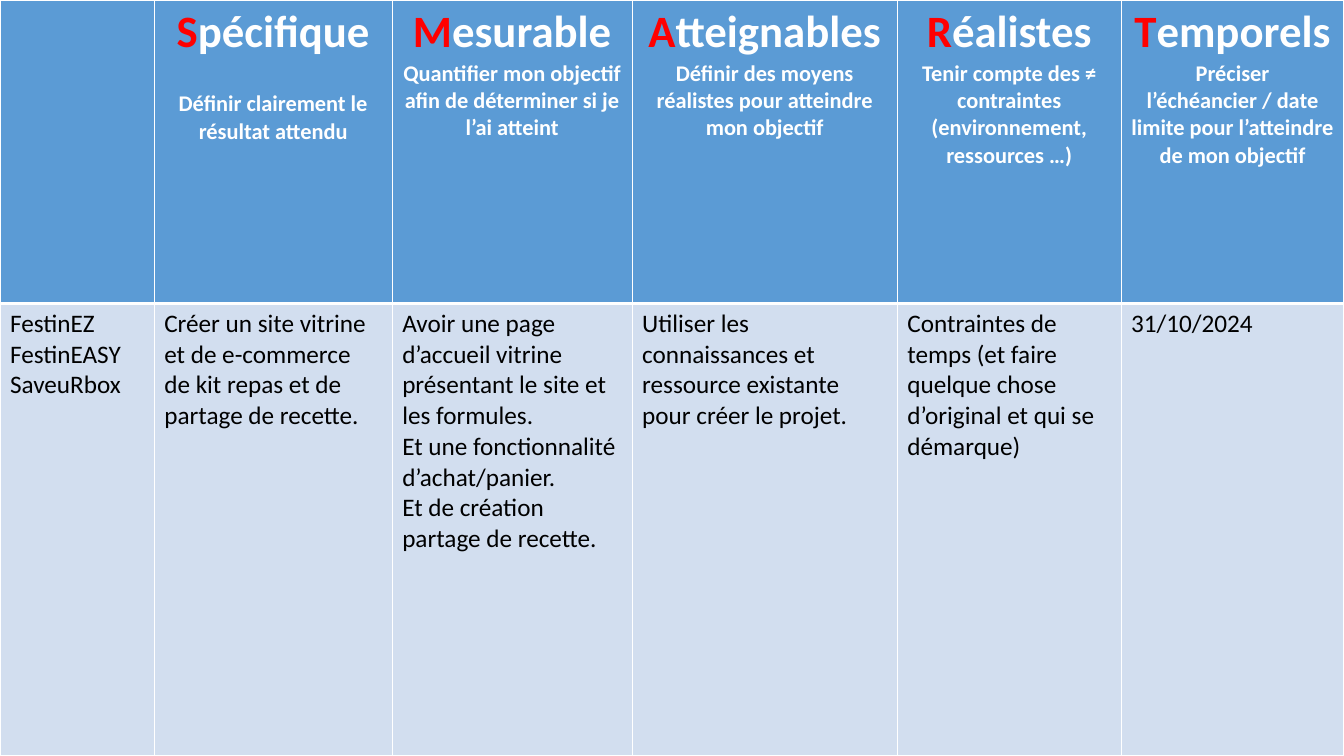
import pptx
import pptx.dml.color
import pptx.enum.text
import pptx.oxml
import pptx.oxml.ns
import pptx.util

Inches, Pt = pptx.util.Inches, pptx.util.Pt
RGBColor = pptx.dml.color.RGBColor
CENTER = pptx.enum.text.PP_ALIGN.CENTER

BLUE = RGBColor(0x5B, 0x9B, 0xD5)
PALE_BLUE = RGBColor(0xD2, 0xDE, 0xEF)
RED = RGBColor(0xFF, 0x00, 0x00)
WHITE = RGBColor(0xFF, 0xFF, 0xFF)
BLACK = RGBColor(0x00, 0x00, 0x00)
FONT = "Calibri"

# Column width, criterion, explanation, gap above the explanation in points, goals
COLUMNS = [
    (1.53, "", "", 0, ["FestinEZ", "FestinEASY", "SaveuRbox"]),
    (2.36, "Spécifique", "Définir clairement le résultat attendu", 22,
     ["Créer un site vitrine et de e-commerce de kit repas et de partage de recette."]),
    (2.38, "Mesurable", "Quantifier mon objectif afin de déterminer si je l’ai atteint", 0,
     ["Avoir une page d’accueil vitrine présentant le site et les formules.",
      "Et une fonctionnalité d’achat/panier.",
      "Et de création partage de recette."]),
    (2.63, "Atteignables", "Définir des moyens réalistes pour atteindre mon objectif", 0,
     ["Utiliser les connaissances et ressource existante pour créer le projet."]),
    (2.22, "Réalistes",
     "Tenir compte des ≠ contraintes (environnement, ressources …)", 0,
     ["Contraintes de temps (et faire quelque chose d’original et qui se démarque)"]),
    (2.21, "Temporels",
     "Préciser l’échéancier / date limite pour l’atteindre de mon objectif", 0,
     ["31/10/2024"]),
]
ROW_HEIGHTS = [3.01, 4.49]


def add_span(para, text, size, color, bold=False):
    span = para.add_run()
    span.text = text
    span.font.name = FONT
    span.font.size = Pt(size)
    span.font.bold = bold
    span.font.color.rgb = color


def style_cell(cell, fill, bottom_width):
    """Fill the cell and give it white borders, the bottom one of its own width."""
    cell.fill.solid()
    cell.fill.fore_color.rgb = fill
    properties = cell._tc.get_or_add_tcPr()
    for position, side in enumerate("LRTB"):
        width = Pt(bottom_width if side == "B" else 1)
        border = pptx.oxml.parse_xml(
            f'<a:ln{side} {pptx.oxml.ns.nsdecls("a")} w="{width}">'
            f'<a:solidFill><a:srgbClr val="{WHITE}"/></a:solidFill></a:ln{side}>')
        properties.insert(position, border)


def write_header(cell, criterion, explanation, gap):
    title = cell.text_frame.paragraphs[0]
    title.alignment = CENTER
    add_span(title, criterion[0], 32, RED, bold=True)
    add_span(title, criterion[1:], 32, WHITE, bold=True)
    detail = cell.text_frame.add_paragraph()
    detail.alignment = CENTER
    detail.space_before = Pt(gap)
    add_span(detail, explanation, 16, WHITE, bold=True)


def write_goals(cell, goals):
    frame = cell.text_frame
    for index, goal in enumerate(goals):
        para = frame.add_paragraph() if index else frame.paragraphs[0]
        add_span(para, goal, 18, BLACK)


def main():
    deck = pptx.Presentation()
    deck.slide_width, deck.slide_height = Inches(13.33), Inches(7.5)
    page = deck.slides.add_slide(deck.slide_layouts[6])
    table = page.shapes.add_table(len(ROW_HEIGHTS), len(COLUMNS), 0, 0,
                                  deck.slide_width, deck.slide_height).table
    for row, height in zip(table.rows, ROW_HEIGHTS):
        row.height = Inches(height)
    for index, (width, criterion, explanation, gap, goals) in enumerate(COLUMNS):
        table.columns[index].width = Inches(width)
        header, body = table.cell(0, index), table.cell(1, index)
        style_cell(header, BLUE, bottom_width=3)
        style_cell(body, PALE_BLUE, bottom_width=1)
        if criterion:
            write_header(header, criterion, explanation, gap)
        write_goals(body, goals)
    deck.save("out.pptx")


if __name__ == "__main__":
    main()
